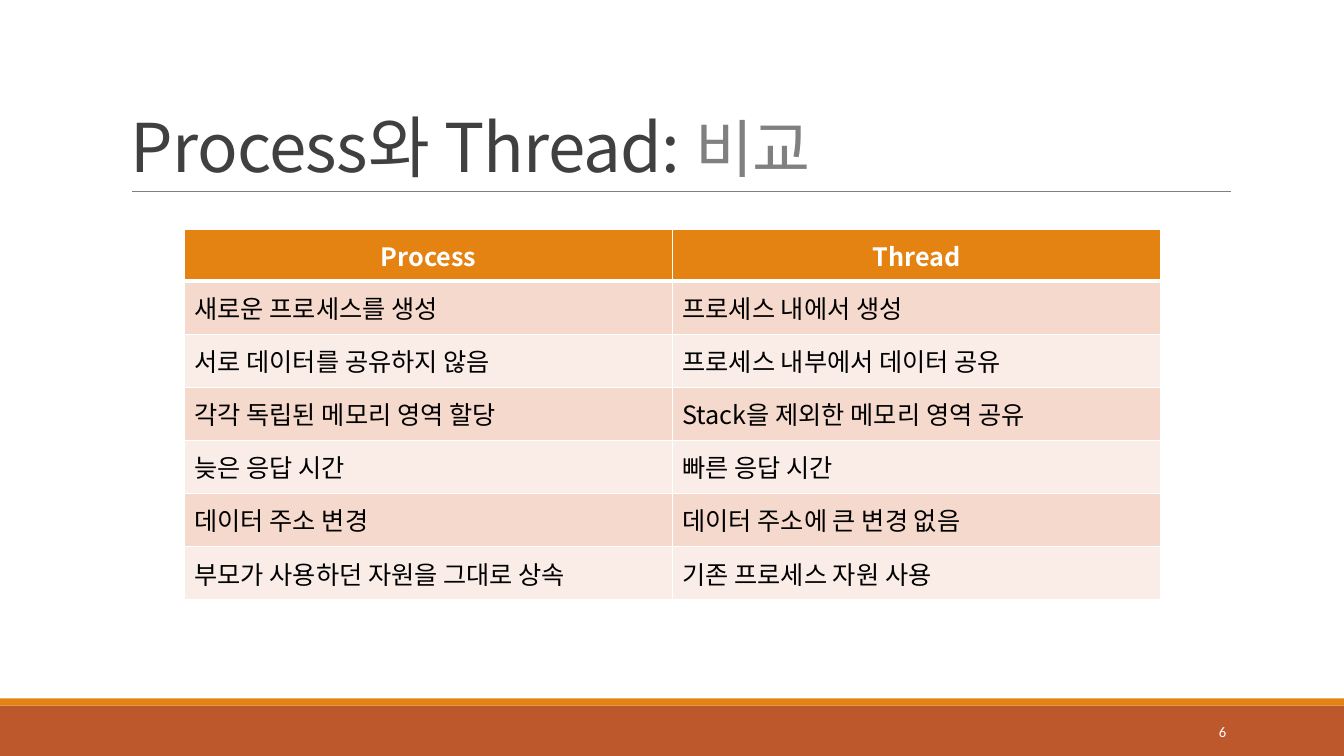
from lxml import etree
from pptx import Presentation
from pptx.dml.color import RGBColor
from pptx.enum.shapes import MSO_CONNECTOR, MSO_SHAPE
from pptx.enum.text import MSO_ANCHOR, PP_ALIGN
from pptx.oxml.ns import qn
from pptx.util import Emu, Pt

EMU_PER_PX = 9144  # 100 px to the inch
RECTANGLE = MSO_SHAPE.RECTANGLE
STRAIGHT = MSO_CONNECTOR.STRAIGHT
LEFT, CENTER, RIGHT = PP_ALIGN.LEFT, PP_ALIGN.CENTER, PP_ALIGN.RIGHT
MIDDLE, BOTTOM = MSO_ANCHOR.MIDDLE, MSO_ANCHOR.BOTTOM

KOREAN_FONT = "Noto Sans CJK KR"
NUMBER_FONT = "Calibri"

WHITE = RGBColor(0xFF, 0xFF, 0xFF)
BLACK = RGBColor(0x00, 0x00, 0x00)
DARK_GRAY = RGBColor(0x40, 0x40, 0x40)
GRAY = RGBColor(0x80, 0x80, 0x80)
ORANGE = RGBColor(0xE4, 0x83, 0x12)
RUST = RGBColor(0xBD, 0x58, 0x2C)
BANDS = (RGBColor(0xF5, 0xD9, 0xCC), RGBColor(0xFA, 0xED, 0xE7))

TITLE_PARTS = [("Process와 Thread: ", 48, DARK_GRAY), ("비교", 45, GRAY)]
COMPARISON = [
    ("Process", "Thread"),
    ("새로운 프로세스를 생성", "프로세스 내에서 생성"),
    ("서로 데이터를 공유하지 않음", "프로세스 내부에서 데이터 공유"),
    ("각각 독립된 메모리 영역 할당", "Stack을 제외한 메모리 영역 공유"),
    ("늦은 응답 시간", "빠른 응답 시간"),
    ("데이터 주소 변경", "데이터 주소에 큰 변경 없음"),
    ("부모가 사용하던 자원을 그대로 상속", "기존 프로세스 자원 사용"),
]


def px(length):
    return Emu(length * EMU_PER_PX)


def set_font(font, properties, name, size, color, bold=False):
    """Set the same face for Latin and East Asian letters."""
    font.name, font.size, font.bold = name, Pt(size), bold
    font.color.rgb = color
    east_asian = etree.Element(qn("a:ea"), typeface=name)
    properties.find(qn("a:latin")).addnext(east_asian)


def set_paragraph_font(paragraph, *style):
    font = paragraph.font
    set_font(font, paragraph._p.pPr.find(qn("a:defRPr")), *style)


def add_bar(slide, top, height, color):
    bar = slide.shapes.add_shape(RECTANGLE, 0, px(top), px(1333), px(height))
    bar.shadow.inherit = False
    bar.fill.solid()
    bar.fill.fore_color.rgb = color
    bar.line.fill.background()


def add_rule(slide, left, right, y):
    rule = slide.shapes.add_connector(STRAIGHT, px(left), px(y), px(right), px(y))
    rule.line.color.rgb = GRAY
    rule.line.width = Pt(0.5)
    etree.SubElement(rule._element.spPr, qn("a:effectLst"))


def add_text_frame(slide, left, top, width, height, anchor):
    box = slide.shapes.add_textbox(px(left), px(top), px(width), px(height))
    frame = box.text_frame
    frame.word_wrap = True
    frame.vertical_anchor = anchor
    return frame


def add_title(slide):
    heading = add_text_frame(slide, 120, 31, 1100, 159, BOTTOM).paragraphs[0]
    heading.line_spacing = 0.85
    for text, size, color in TITLE_PARTS:
        run = heading.add_run()
        run.text = text
        properties = run._r.get_or_add_rPr()
        properties.set("spc", "-50")
        set_font(run.font, properties, KOREAN_FONT, size, color)


def add_slide_number(slide, number):
    paragraph = add_text_frame(slide, 1083, 706, 143, 40, MIDDLE).paragraphs[0]
    paragraph.text = number
    paragraph.alignment = RIGHT
    set_paragraph_font(paragraph, NUMBER_FONT, 10.5, WHITE)


def add_borders(cell, widths):
    properties = cell._tc.get_or_add_tcPr()
    for side, width in zip("LRTB", widths):
        border = etree.SubElement(properties, qn(f"a:ln{side}"), w=str(Pt(width)))
        fill = etree.SubElement(border, qn("a:solidFill"))
        etree.SubElement(fill, qn("a:srgbClr"), val=str(WHITE))


def style_cell(cell, text, fill, color, alignment, bold, borders):
    add_borders(cell, borders)
    cell.fill.solid()
    cell.fill.fore_color.rgb = fill
    cell.vertical_anchor = MIDDLE
    paragraph = cell.text_frame.paragraphs[0]
    paragraph.text = text
    paragraph.alignment = alignment
    set_paragraph_font(paragraph, KOREAN_FONT, 18, color, bold)


def add_comparison_table(slide):
    table = slide.shapes.add_table(
        len(COMPARISON), 2, px(183), px(228), px(968), px(367)).table
    table.horz_banding = False
    for column in table.columns:
        column.width = px(484)

    # The header takes 51 px; the other rows share the rest
    body_height = Emu(px(367 - 51) // (len(COMPARISON) - 1))
    for index, texts in enumerate(COMPARISON):
        table.rows[index].height = body_height if index else px(51)
        if index == 0:
            style = ORANGE, WHITE, CENTER, True, (1, 1, 1, 3)
        else:
            top = 3 if index == 1 else 1
            style = BANDS[(index - 1) % 2], BLACK, LEFT, False, (1, 1, top, 1)
        for cell, text in zip(table.rows[index].cells, texts):
            style_cell(cell, text, *style)


def main():
    presentation = Presentation()
    presentation.slide_width, presentation.slide_height = px(1333), px(750)
    slide = presentation.slides.add_slide(presentation.slide_layouts[6])

    # Footer bars and the rule under the title
    add_bar(slide, 700, 50, RUST)
    add_bar(slide, 693, 7, ORANGE)
    add_rule(slide, 131, 1221, 190)

    # Content
    add_title(slide)
    add_comparison_table(slide)
    add_slide_number(slide, "6")

    presentation.save("out.pptx")


if __name__ == "__main__":
    main()
